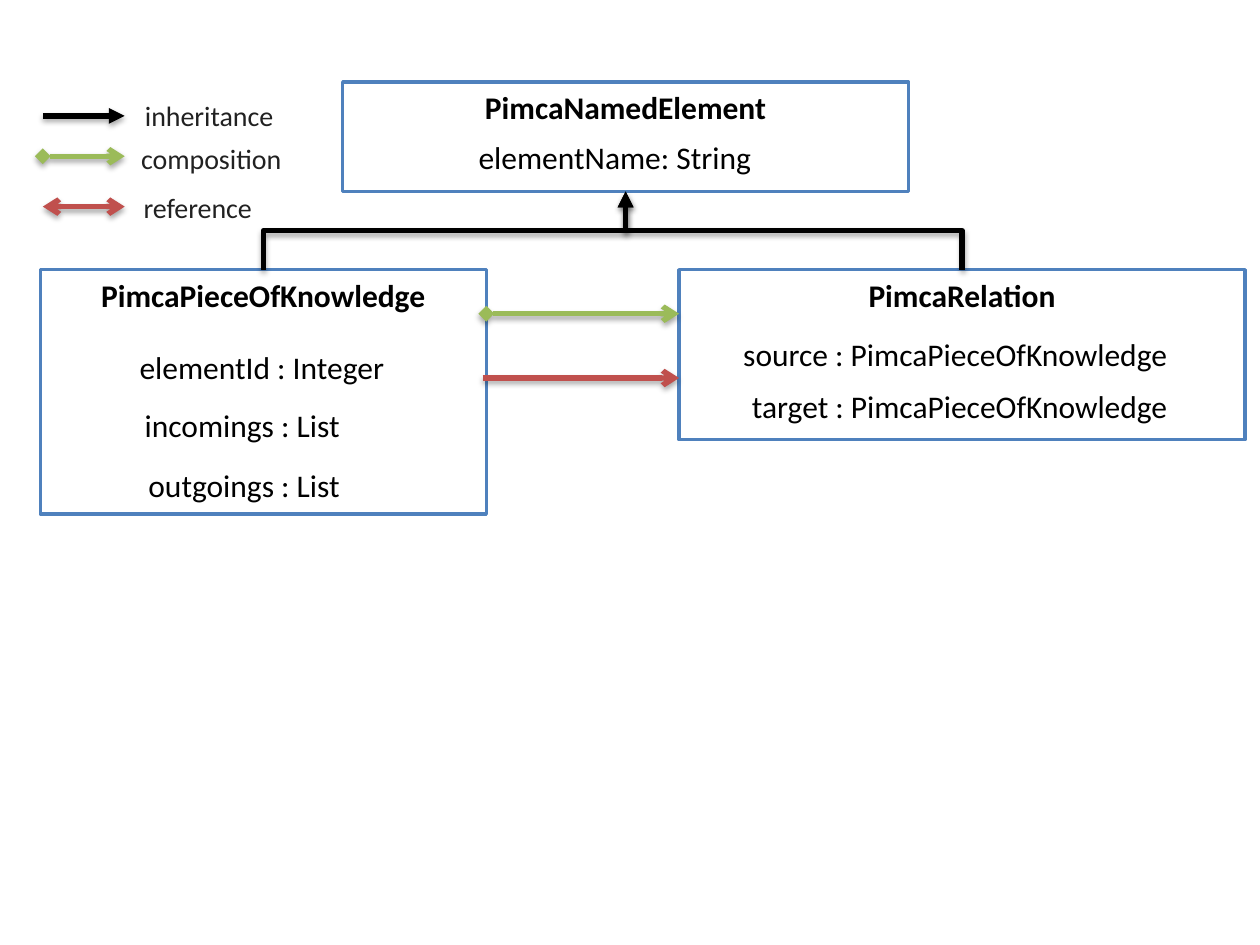
from lxml import etree
from pptx import Presentation
from pptx.dml.color import RGBColor
from pptx.enum.shapes import MSO_CONNECTOR as LINK, MSO_SHAPE
from pptx.enum.text import MSO_ANCHOR as ANCHOR, MSO_AUTO_SIZE as AUTO, PP_ALIGN
from pptx.oxml import parse_xml
from pptx.oxml.ns import nsdecls, qn
from pptx.util import Inches, Pt

COLORS = {"border": "4F81BD", "white": "FFFFFF", "text": "000000", "legend": "212121",
          "inheritance": "000000", "composition": "9BBB59", "reference": "C0504D"}
SHADOW = (f'<a:effectLst {nsdecls("a")}><a:outerShdw blurRad="40000" dist="23000" dir="5400000" '
          'rotWithShape="0"><a:srgbClr val="000000"><a:alpha val="35000"/></a:srgbClr>'
          '</a:outerShdw></a:effectLst>')


def style_text(frame, text, size, color, bold=False):
    frame.text = text
    font = frame.paragraphs[0].runs[0].font
    font.name, font.size, font.bold = "Calibri", Pt(size), bold
    font.color.rgb = RGBColor.from_string(COLORS[color])


def style_link(link, color, head, tail):
    link.line.width = Pt(3)
    link.line.color.rgb = RGBColor.from_string(COLORS[color])
    line = link.line._get_or_add_ln()
    for end, kind in (("a:headEnd", head), ("a:tailEnd", tail)):
        if kind:
            etree.SubElement(line, qn(end)).set("type", kind)
    link._element.spPr.append(parse_xml(SHADOW))


prs = Presentation()
prs.slide_width, prs.slide_height = Inches(10), Inches(7.5)
slide = prs.slides.add_slide(prs.slide_layouts[6])
shapes = slide.shapes

classes = [
    ("PimcaNamedElement", 2.72, 0.65, 4.49, 0.87, [("elementName: String", 3.7, 1.05, 2.39)]),
    ("PimcaPieceOfKnowledge", 0.32, 2.14, 3.54, 1.94, [
        ("elementId : Integer", 1.01, 2.71, 2.17),
        ("incomings : List", 1.05, 3.17, 1.77),
        ("outgoings : List", 1.08, 3.65, 1.74)]),
    ("PimcaRelation", 5.39, 2.14, 4.49, 1.35, [
        ("source : PimcaPieceOfKnowledge", 5.8, 2.61, 3.61),
        ("target : PimcaPieceOfKnowledge", 5.87, 3.02, 3.54)]),
]
class_boxes = {}
for name, left, top, width, height, attributes in classes:
    box = shapes.add_shape(MSO_SHAPE.RECTANGLE, Inches(left), Inches(top), Inches(width), Inches(height))
    box.shadow.inherit = False
    box.fill.solid()
    box.fill.fore_color.rgb = RGBColor.from_string(COLORS["white"])
    box.line.color.rgb = RGBColor.from_string(COLORS["border"])
    box.line.width = Pt(2)
    box.text_frame.vertical_anchor = ANCHOR.TOP
    style_text(box.text_frame, name, 18, "text", bold=True)
    box.text_frame.paragraphs[0].alignment = PP_ALIGN.CENTER
    class_boxes[name] = box
    for attribute, x, y, span in attributes:
        field = shapes.add_textbox(Inches(x), Inches(y), Inches(span), Inches(0.4))
        field.text_frame.word_wrap = False
        field.text_frame.auto_size = AUTO.SHAPE_TO_FIT_TEXT
        style_text(field.text_frame, attribute, 18, "text")

parent = class_boxes["PimcaNamedElement"]
parent_x, parent_y = parent.left + parent.width // 2, parent.top + parent.height
for child_name, rotation, flip_h in (("PimcaPieceOfKnowledge", 90, "1"), ("PimcaRelation", 270, "0")):
    child = class_boxes[child_name]
    child_x, child_y = child.left + child.width // 2, child.top
    inheritance = shapes.add_connector(LINK.ELBOW, child_x, child_y, parent_x, parent_y)
    inheritance.begin_connect(child, 0)
    inheritance.end_connect(parent, 2)
    rise, run = child_y - parent_y, abs(child_x - parent_x)
    inheritance.left = (child_x + parent_x - rise) // 2
    inheritance.top = (child_y + parent_y - run) // 2
    inheritance.width, inheritance.height = rise, run
    frame = inheritance._element.spPr.find(qn("a:xfrm"))
    frame.set("rot", str(rotation * 60000))
    frame.set("flipH", flip_h)
    frame.set("flipV", "1")
    style_link(inheritance, "inheritance", None, "triangle")

relations = [
    ("reference", 0.34, 0.99, 1.64, "arrow", "arrow"),
    ("composition", 0.34, 0.99, 1.24, "diamond", "arrow"),
    ("inheritance", 0.34, 0.99, 0.92, None, "triangle"),
    ("composition", 3.86, 5.39, 2.49, "diamond", "arrow"),
    ("reference", 3.83, 5.39, 3, None, "arrow"),
]
for relation, start, end, y, head, tail in relations:
    link = shapes.add_connector(LINK.STRAIGHT, Inches(start), Inches(y), Inches(end), Inches(y))
    style_link(link, relation, head, tail)

for label, left, top in (("inheritance", 1.15, 0.78), ("composition", 1.12, 1.12), ("reference", 1.14, 1.51)):
    legend = shapes.add_textbox(Inches(left), Inches(top), Inches(1.46), Inches(0.27))
    legend.fill.solid()
    legend.fill.fore_color.rgb = RGBColor.from_string(COLORS["white"])
    text = legend.text_frame
    text.word_wrap = True
    text.auto_size = AUTO.SHAPE_TO_FIT_TEXT
    text.vertical_anchor = ANCHOR.MIDDLE
    text.margin_left = text.margin_top = text.margin_right = text.margin_bottom = 0
    style_text(text, label, 16, "legend")

prs.save("out.pptx")
